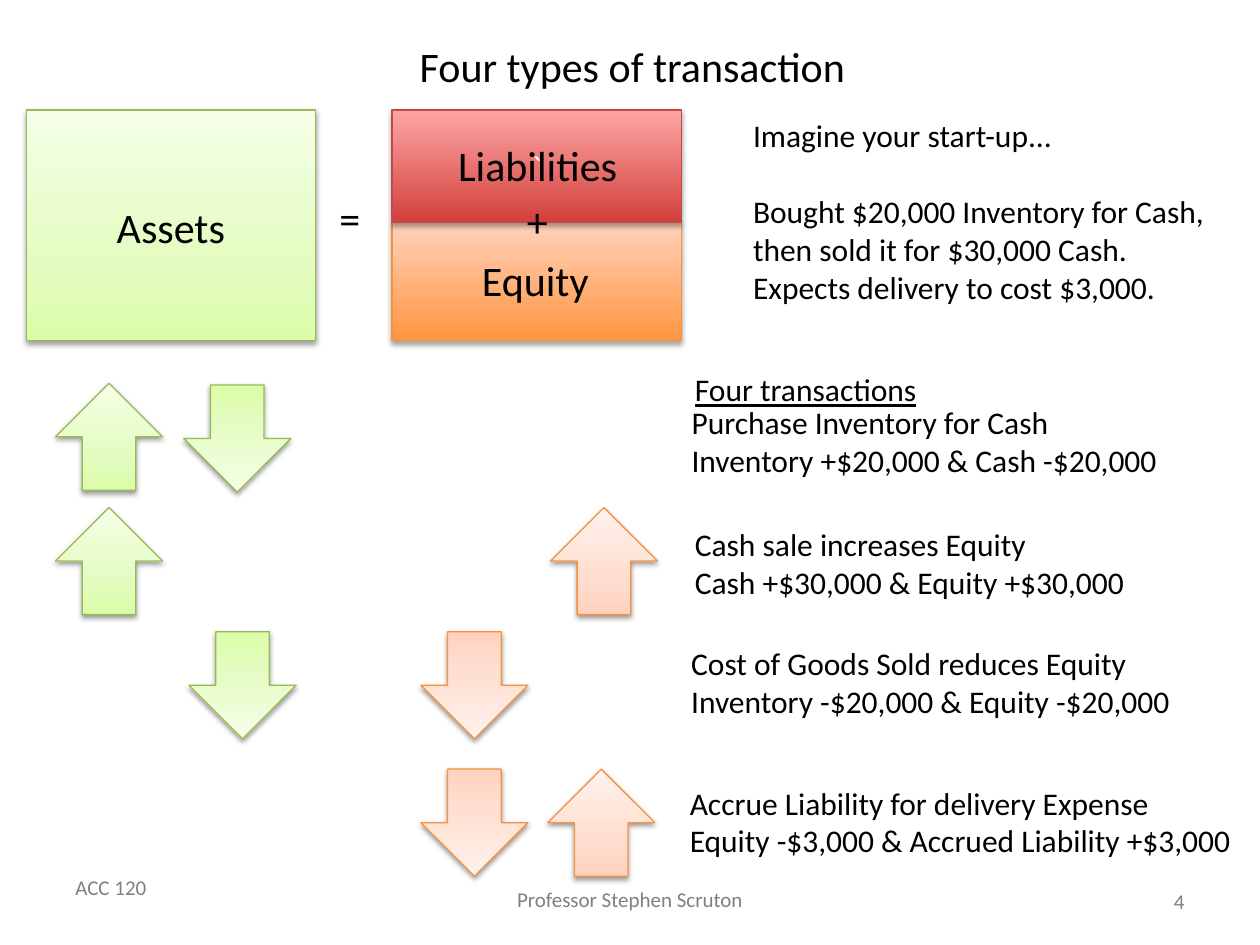
from pptx import Presentation
from pptx.dml.color import RGBColor
from pptx.enum.shapes import MSO_SHAPE
from pptx.enum.text import MSO_ANCHOR, PP_ALIGN
from pptx.oxml import parse_xml
from pptx.oxml.ns import nsdecls
from pptx.util import Pt

RECT, ARROW = MSO_SHAPE.RECTANGLE, MSO_SHAPE.UP_ARROW
LEFT, CENTER, RIGHT = PP_ALIGN.LEFT, PP_ALIGN.CENTER, PP_ALIGN.RIGHT
TOP, MIDDLE = MSO_ANCHOR.TOP, MSO_ANCHOR.MIDDLE
hue = RGBColor.from_string

# Each style: gradient stops from bottom to top, line, shadow opacity and distance
GREEN = ([(0, "DAFDA7"), (35, "E4FCC2"), (100, "F5FFE7")], "98B955", 38, 1.6)
PEACH = ([(0, "FFD2BD"), (35, "FFDED0"), (100, "FFF2ED")], "F69240", 38, 1.6)
ORANGE = ([(0, "FF953E"), (100, "FFD2BD")], "F69240", 35, 1.8)
RED = ([(0, "D1403C"), (100, "FFA6A5")], "BF4C48", 35, 1.8)


def block(kind, box, style):
    """Add a shape with a gradient fill, a thin line and a soft shadow."""
    stops, line, alpha, dist = style
    shape = slide.shapes.add_shape(kind, *map(Pt, box))
    shape.line.color.rgb = hue(line)
    shape.line.width = Pt(0.75)
    shape.shadow.inherit = False
    props = shape._element.spPr
    marks = "".join(f'<a:gs pos="{pos * 1000}"><a:srgbClr val="{tone}"/></a:gs>'
                    for pos, tone in stops)
    fill = parse_xml(f'<a:gradFill {nsdecls("a")} rotWithShape="1"><a:gsLst>{marks}</a:gsLst>'
                     '<a:lin ang="16200000" scaled="0"/></a:gradFill>')
    props.insert_element_before(fill, "a:ln")
    props[-1].append(parse_xml(
        f'<a:outerShdw {nsdecls("a")} blurRad="{Pt(3.1)}" dist="{Pt(dist)}" dir="5400000" '
        f'rotWithShape="0"><a:srgbClr val="000000"><a:alpha val="{alpha * 1000}"/>'
        '</a:srgbClr></a:outerShdw>'))
    return shape


def write(text, box=None, size=24, align=CENTER, anchor=MIDDLE, tone="000000",
          wrap=True, shape=None):
    """Put text into the given shape, or into a new text box."""
    shape = shape or slide.shapes.add_textbox(*map(Pt, box))
    frame = shape.text_frame
    frame.text = text
    frame.word_wrap = wrap
    frame.vertical_anchor = anchor
    for para in frame.paragraphs:
        para.alignment = align
        for run in para.runs:
            run.font.name = "Calibri"
            run.font.size = Pt(size)
            run.font.color.rgb = hue(tone)
    return frame


deck = Presentation()
deck.slide_width, deck.slide_height = Pt(720), Pt(540)
slide = deck.slides.add_slide(deck.slide_layouts[5])

title = slide.shapes.title
title.left, title.top, title.width, title.height = map(Pt, (55.4, 12.2, 612, 50.4))
write("Four types of transaction", shape=title)

# Footer
write("ACC 120", (36, 496, 55.4, 21.6), 12, LEFT, TOP, "808080", False)
write("Professor Stephen Scruton", (287.3, 503.3, 145.4, 21.6), 12, CENTER, TOP, "808080", False)
write("4", (516, 500.4, 168, 28.8), 12, RIGHT, MIDDLE, "808080")

# Accounting equation
block(RECT, (15, 62.8, 165.3, 132), GREEN)
write("Assets", (15, 74.2, 165.3, 110.9))
write("=", (164.2, 109.4, 71.3, 30.2))
block(RECT, (224, 127.3, 165.3, 67.5), ORANGE)
debt = block(RECT, (224, 62.8, 165.3, 64.5), RED)
write("`", size=18, tone="FFFFFF", shape=debt)
write("Liabilities", (224.6, 69.1, 165.3, 50.4))
write("Equity", (223.2, 134.6, 165.3, 50.4))
write("+", (274.3, 109.4, 65.5, 33.1))

# Arrows, one row for each transaction
arrows = [
    (31.7, 219, GREEN, "up"), (105, 220, GREEN, "down"),
    (31.7, 290, GREEN, "up"), (314.5, 290, PEACH, "up"),
    (108, 361, GREEN, "down"), (240.5, 361, PEACH, "down"),
    (240.5, 439.5, PEACH, "down"), (313, 439.5, PEACH, "up"),
]
for x, y, style, way in arrows:
    arrow = block(ARROW, (x, y, 61.2, 61.2), style)
    if way == "down":
        arrow._element.spPr.xfrm.set("flipV", "1")

# Transactions
head = write("Four transactions", (390, 208.1, 143.3, 28.8), 18, LEFT, TOP, wrap=False)
head.paragraphs[0].runs[0].font.underline = True
notes = [
    (388.1, 226.8, 292.3, "Purchase Inventory for Cash\nInventory +$20,000 & Cash -$20,000"),
    (390, 296.6, 270.7, "Cash sale increases Equity\nCash +$30,000 & Equity +$30,000"),
    (387.9, 364.3, 300.2, "Cost of Goods Sold reduces Equity\nInventory -$20,000 & Equity -$20,000"),
    (387.1, 444.2, 335.5, "Accrue Liability for delivery Expense\n"
                          "Equity -$3,000 & Accrued Liability +$3,000"),
]
for x, y, wide, text in notes:
    write(text, (x, y, wide, 51.1), 18, LEFT, TOP, wrap=False)

story = write("Imagine your start-up...\nBought $20,000 Inventory for Cash, then sold it for "
              "$30,000 Cash. Expects delivery to cost $3,000.",
              (423.2, 62.8, 272.9, 116.6), 18, LEFT, TOP)
story.paragraphs[1].space_before = Pt(22)

deck.save("out.pptx")
